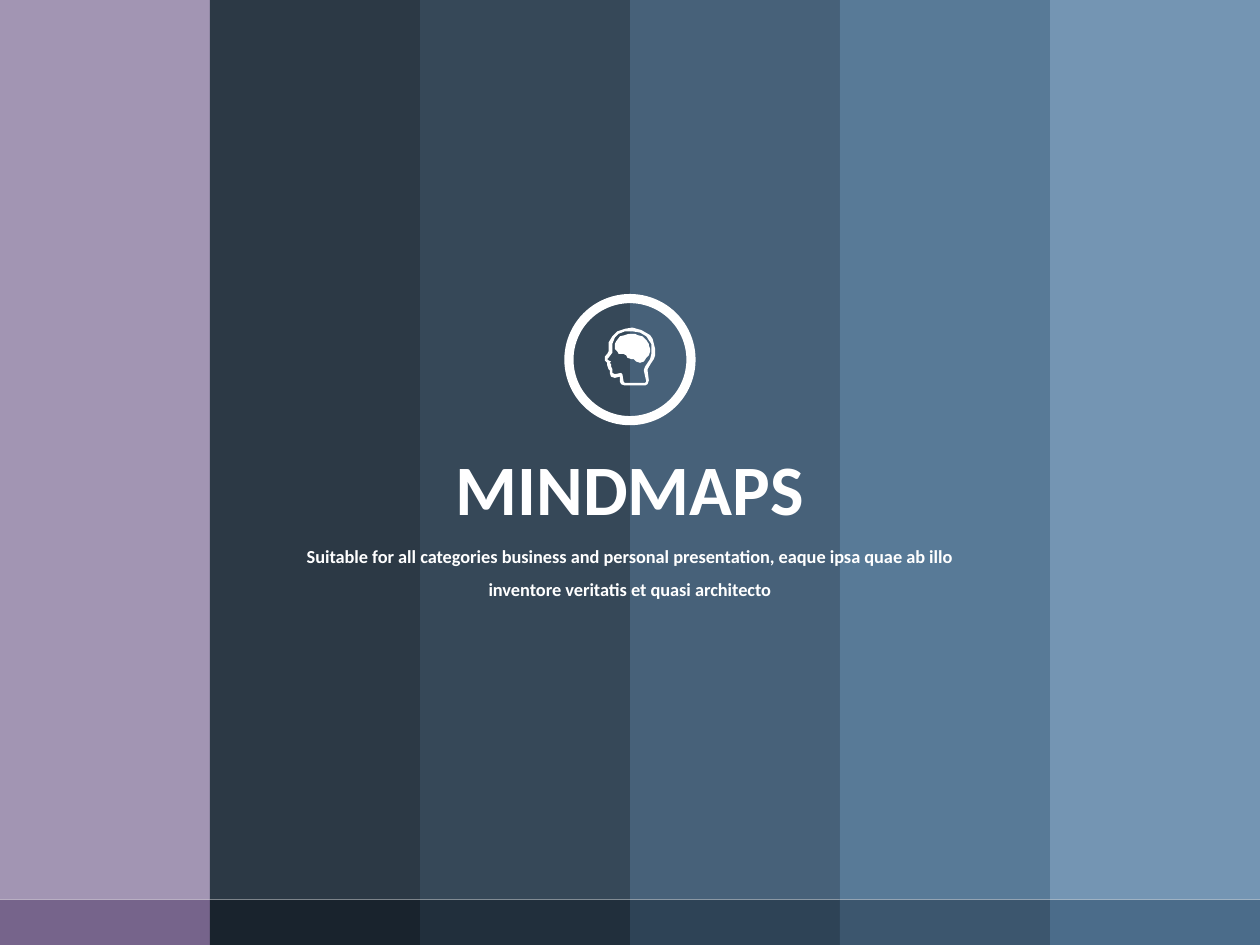
import pptx
import pptx.util
import pptx.dml.color
import pptx.enum.shapes
import pptx.enum.text
import pptx.oxml.ns
from lxml import etree

Pt = pptx.util.Pt
MSO = pptx.enum.shapes.MSO_SHAPE

THEME = {
    "font": "Calibri", "title": 40.5, "body": 10.5, "white": "FFFFFF",
    "stripes": ["9E90AF", "212F3C", "2C3F50", "3E5972", "507392", "6D90AF"],
    "footers": ["76648B", "19232D", "212F3C", "2E4356", "3C566E", "4B6C8A"],
}
W, H = 720, 540
STRIPE_H, FOOT_H = 514, 26


def paint(sp, color, alpha=None):
    sp.shadow.inherit = False
    sp.line.fill.background()
    sp.fill.solid()
    sp.fill.fore_color.rgb = pptx.dml.color.RGBColor.from_string(color)
    if alpha:
        clr = sp._element.spPr.find(".//" + pptx.oxml.ns.qn("a:srgbClr"))
        etree.SubElement(clr, pptx.oxml.ns.qn("a:alpha"), val=str(alpha * 1000))


def add_text(s, box, text, size, wrap, spacing=None):
    tf = s.shapes.add_textbox(*map(Pt, box)).text_frame
    tf.word_wrap = wrap
    tf.auto_size = pptx.enum.text.MSO_AUTO_SIZE.SHAPE_TO_FIT_TEXT
    tf.text = text
    p = tf.paragraphs[0]
    p.alignment = pptx.enum.text.PP_ALIGN.CENTER
    p.line_spacing = spacing
    r = p.runs[0]
    r.font.name, r.font.size, r.font.bold = THEME["font"], Pt(size), True
    r.font.color.rgb = pptx.dml.color.RGBColor.from_string(THEME["white"])


prs = pptx.Presentation()
prs.slide_width, prs.slide_height = Pt(W), Pt(H)
s = prs.slides.add_slide(prs.slide_layouts[6])

# Background stripes, then the darker footer band
col_w = W / len(THEME["stripes"])
for colors, top, height, alpha in (
    (THEME["stripes"], 0, STRIPE_H, 95),
    (THEME["footers"], STRIPE_H, FOOT_H, None),
):
    for i, color in enumerate(colors):
        sp = s.shapes.add_shape(MSO.RECTANGLE, Pt(i * col_w), Pt(top), Pt(col_w), Pt(height))
        paint(sp, color, alpha)

# Title and subtitle
add_text(s, (252.5, 250.5, 215, 56.5), "MINDMAPS", THEME["title"], False)
add_text(s, (157.5, 301.5, 405, 45.5),
         "Suitable for all categories business and personal presentation, "
         "eaque ipsa quae ab illo inventore veritatis et quasi architecto",
         THEME["body"], True, 1.5)

# Icon ring
ring = s.shapes.add_shape(MSO.DONUT, Pt(322.5), Pt(168), Pt(75), Pt(75))
ring.adjustments[0] = 0.07
paint(ring, THEME["white"])

# Head and brain outlines, in units of 0.72 pt
head_outer = [
    (516, 266), (509, 262), (502, 260), (496, 261), (490, 263), (486, 267), (483, 272),
    (483, 279), (482, 281), (480, 283), (480, 286), (482, 288), (482, 290), (483, 293),
    (484, 294), (484, 296), (485, 299), (488, 300), (492, 299), (492, 303), (493, 305),
    (496, 306), (512, 306), (514, 305), (515, 302), (514, 294), (514, 293), (517, 288),
    (519, 285), (520, 282), (520, 277), (519, 273), (518, 269),
]
head_inner = [
    (517, 281), (516, 285), (512, 291), (511, 294), (513, 303), (512, 304), (496, 304),
    (495, 303), (494, 297), (493, 296), (488, 297), (486, 296), (486, 293), (485, 291),
    (485, 289), (484, 288), (485, 287), (483, 286), (482, 285), (483, 284), (486, 280),
    (486, 277), (486, 273), (488, 268), (491, 265), (496, 263), (502, 263), (508, 264),
    (513, 267), (517, 273),
]
brain = [
    (506, 266), (504, 265), (499, 265), (496, 266), (492, 267), (489, 271), (488, 273),
    (488, 275), (488, 277), (490, 279), (491, 281), (493, 281), (495, 281), (497, 282),
    (498, 284), (501, 285), (503, 285), (505, 287), (508, 288), (511, 287), (513, 284),
    (515, 282), (516, 279), (516, 277), (515, 274), (515, 273), (513, 270), (510, 267),
]
for outlines in ([head_outer, head_inner], [brain]):
    fb = s.shapes.build_freeform(*outlines[0][0], scale=Pt(0.72))
    fb.add_line_segments(outlines[0][1:], close=True)
    for pts in outlines[1:]:
        fb.move_to(*pts[0])
        fb.add_line_segments(pts[1:], close=True)
    paint(fb.convert_to_shape(), THEME["white"])

prs.save("out.pptx")
